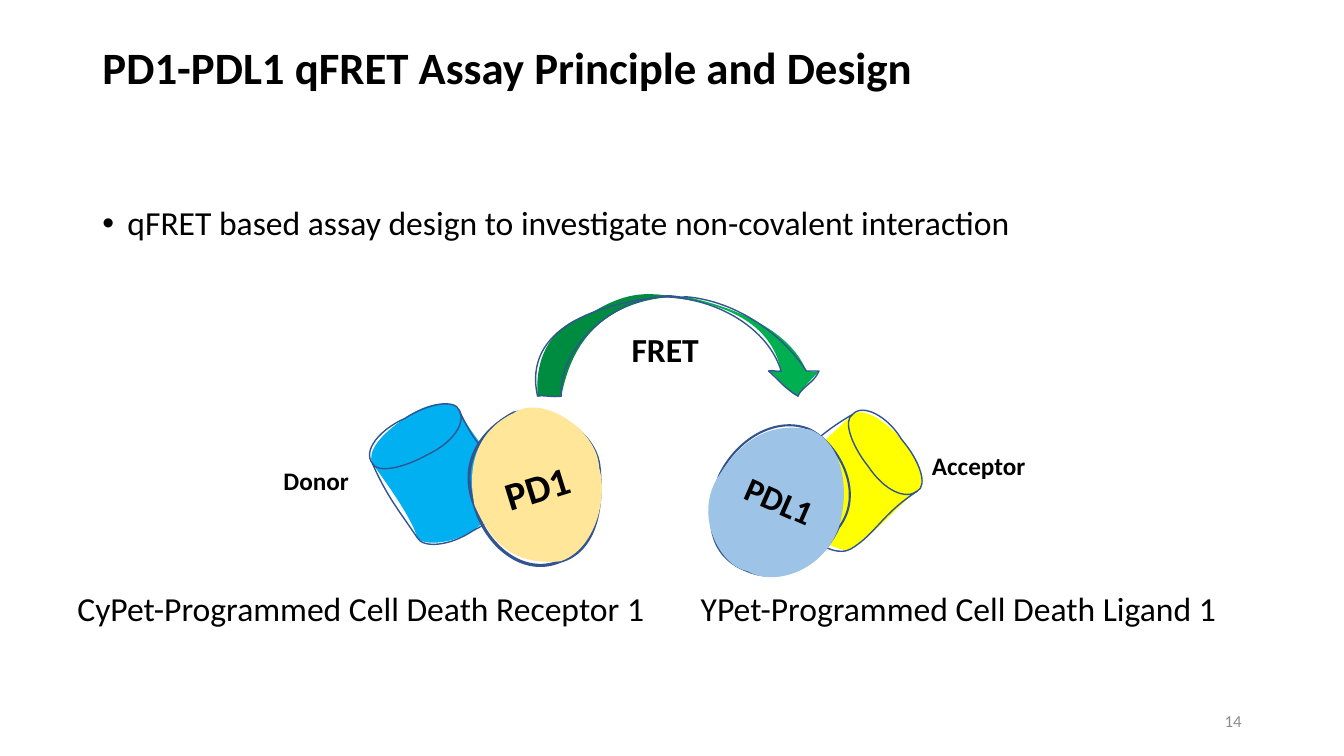
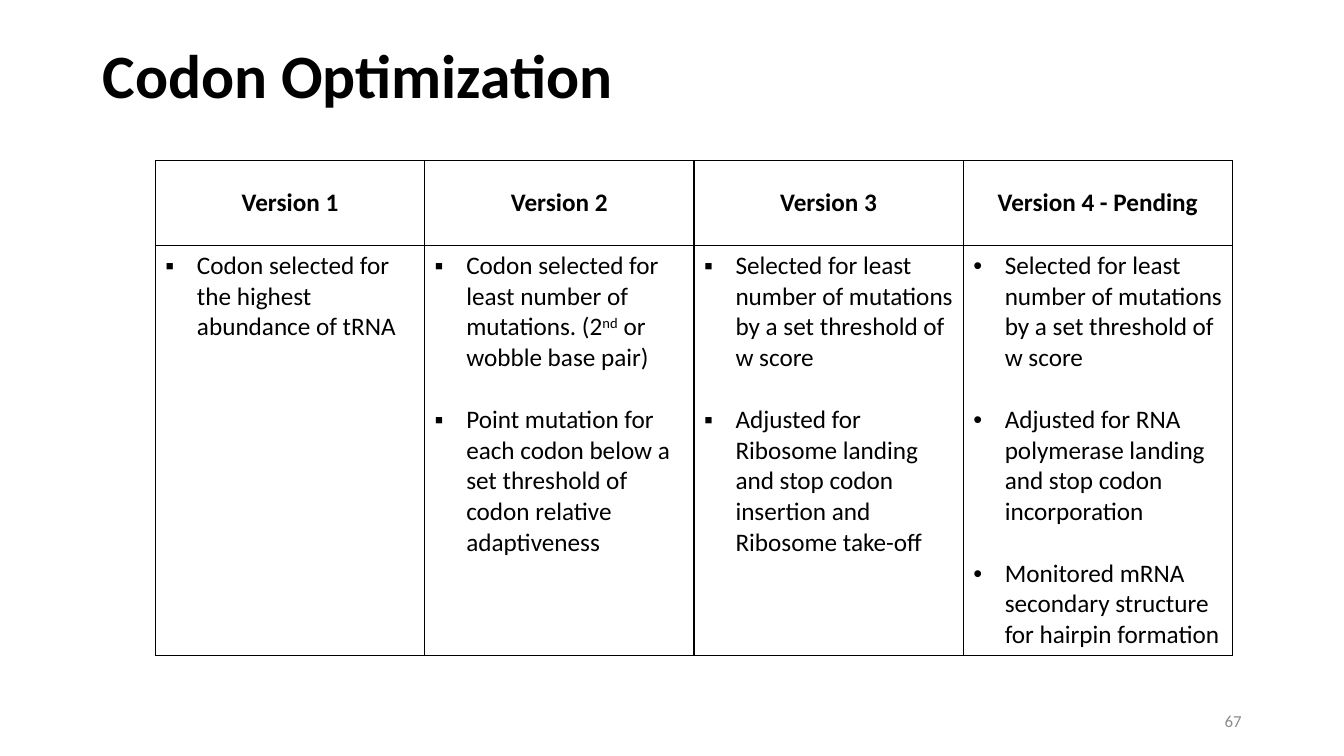
import math
from dataclasses import dataclass

import lxml.etree
import pptx
import pptx.dml.color
import pptx.enum.text
import pptx.oxml.ns
import pptx.util

Pt = pptx.util.Pt
ALIGN = pptx.enum.text.PP_ALIGN
ANCHOR = pptx.enum.text.MSO_ANCHOR

# Shared colours and text styles
BLACK, GREY, EDGE = "000000", "8C8C8C", "325491"
BASE = {"name": "Calibri", "bold": False, "size": Pt(24)}
TABLE_TEXT = BASE | {"size": Pt(18)}
TABLE_HEAD = TABLE_TEXT | {"bold": True}
PAGE_NUMBER = BASE | {"size": Pt(12)}


@dataclass
class Curve:
    """Cubic curves as 'x,y' points on the slide: a start, then two handles and an end each."""
    points: str
    fill: str = "none"
    closed: bool = True


@dataclass
class Figure:
    """Hand-drawn outline; filled curves carry no edge, the others only an edge."""
    left: float
    top: float
    width: float
    height: float
    angle: float
    fill: str
    edge_width: float
    curves: list[Curve]
    label: str = ""
    label_size: float = 24


@dataclass
class Label:
    text: str
    left: float
    top: float
    width: float
    height: float
    size: float = 24
    bold: bool = False


@dataclass
class Version:
    heading: str
    bullet: str
    points: list[str]


ACCEPTOR = Figure(571.7, 296.6, 72.7, 93.6, 50.3, "FFFF00", 1, [
    Curve("609,296 616,291 631,299 644,314 657,328 662,345 655,351 640,362 631,376 608,392 "
          "604,396 584,387 572,374 559,359 555,340 561,336 576,329 600,304 609,296", "norm"),
    Curve("655,351 647,357 632,351 620,333 608,318 602,300 609,296", closed=False),
    Curve("609,296 616,288 634,297 644,314 657,329 663,347 655,351 629,368 626,381 608,392 "
          "600,397 583,392 572,374 559,360 554,341 561,336 577,320 585,310 609,296")])

DONOR = Figure(276.5, 291.6, 72.7, 93.6, 328.7, "00B0F0", 1, [
    Curve("266,331 262,323 272,310 289,299 305,287 323,285 328,293 336,310 348,320 361,346 "
          "364,351 352,369 338,379 322,389 302,390 298,384 294,369 273,341 266,331", "norm"),
    Curve("328,293 333,302 324,316 305,325 287,335 269,338 266,331", closed=False),
    Curve("266,331 259,322 271,307 289,299 306,288 325,285 328,293 340,321 353,326 361,346 "
          "365,355 357,370 338,379 322,390 302,392 298,384 286,366 277,356 266,331")])

RECEPTOR = Figure(337, 293, 92.9, 110.2, 342.8, "FFE699", 2.25, [
    Curve("339,361 328,333 341,309 367,295 394,289 426,309 428,334 431,364 425,394 400,401 "
          "374,412 347,390 339,361"),
    Curve("339,361 332,326 346,305 367,295 387,281 427,307 428,334 435,359 423,394 400,401 "
          "373,403 354,395 339,361", "norm")], "PD1", 28)

LIGAND = Figure(510.5, 302.4, 92.9, 110.2, 23.8, "9DC3E6", 1.5, [
    Curve("514,339 528,311 557,297 579,307 600,318 618,353 599,377 588,403 557,418 534,408 "
          "507,398 502,372 514,339"),
    Curve("514,339 533,309 555,302 579,307 601,316 608,348 599,377 589,406 555,420 534,408 "
          "515,405 494,368 514,339", "norm")], "PDL1")

FRET_ARROW = Figure(383.8, 211.7, 203.8, 71.3, 0, "00B050", 1, [
    Curve("570,283 564,282 556,269 549,265 551,265 556,265 558,265 551,231 518,215 472,212 "
          "477,210 485,214 490,212 523,219 564,235 576,265 578,265 582,266 585,265 "
          "580,271 574,276 570,283", "norm"),
    Curve("481,212 435,215 409,240 401,283 395,284 388,282 384,283 382,256 393,233 420,225 "
          "441,212 456,207 481,212", "darkenLess"),
    Curve("481,212 438,210 398,250 401,283 395,284 388,282 384,283 373,234 428,217 472,212 "
          "480,210 484,213 490,212 527,215 560,240 576,265 580,265 582,265 585,265 "
          "582,273 572,277 570,283 559,276 559,274 549,265 553,264 554,266 558,265 "
          "549,235 512,212 472,212", closed=False)])

ASSAY_LABELS = [
    Label("CyPet-Programmed Cell Death Receptor 1", 48.2, 416.5, 443, 36),
    Label("YPet-Programmed Cell Death Ligand 1", 493.4, 416.7, 403, 36),
    Label("FRET", 444, 231.5, 110, 36, bold=True),
    Label("Donor", 195.4, 329, 99, 29, 18, True),
    Label("Acceptor", 658.6, 318, 99, 29, 18, True),
]

LEAST_MUTATIONS = "Selected for least number of mutations by a set threshold of w score"
VERSIONS = [
    Version("Version 1", "▪", ["Codon selected for the highest abundance of tRNA"]),
    Version("Version 2", "▪", [
        "Codon selected for least number of mutations. (2^nd^ or wobble base pair)",
        "Point mutation for each codon below a set threshold of codon relative adaptiveness"]),
    Version("Version 3", "▪", [
        LEAST_MUTATIONS,
        "Adjusted for Ribosome landing and stop codon insertion and Ribosome take-off"]),
    Version("Version 4 - Pending", "•", [
        LEAST_MUTATIONS,
        "Adjusted for RNA polymerase landing and stop codon incorporation",
        "Monitored mRNA secondary structure for hairpin formation"]),
]


def rgb(value: str) -> pptx.dml.color.RGBColor:
    return pptx.dml.color.RGBColor.from_string(value)


def sub(parent, tag: str, **attributes: str):
    return lxml.etree.SubElement(parent, pptx.oxml.ns.qn(tag), attributes)


def write(paragraph, text: str, style: dict, color: str = BLACK) -> None:
    """Add runs; parts between carets are raised."""
    for order, part in enumerate(text.split("^")):
        run = paragraph.add_run()
        run.text = part
        for key, value in style.items():
            setattr(run.font, key, value)
        run.font.color.rgb = rgb(color)
        if order % 2:
            run.font._element.set("baseline", "30000")


def add_bullet(paragraph, symbol: str, indent: float) -> None:
    properties = paragraph._p.get_or_add_pPr()
    properties.set("marL", str(Pt(indent)))
    properties.set("indent", str(-Pt(indent)))
    sub(properties, "a:buFont", typeface="Arial")
    sub(properties, "a:buChar", char=symbol)


def add_frame(slide, left: float, top: float, width: float, height: float):
    frame = slide.shapes.add_textbox(Pt(left), Pt(top), Pt(width), Pt(height)).text_frame
    frame.word_wrap = True
    return frame


def start_slide(deck, title: str, title_size: float, number: str):
    """Title-only slide with the shared title and page number."""
    slide = deck.slides.add_slide(deck.slide_layouts[5])
    heading = slide.shapes.title
    place = {"left": Pt(66), "top": Pt(29), "width": Pt(828), "height": Pt(104)}
    for key, value in place.items():
        setattr(heading, key, value)
    heading.text_frame.vertical_anchor = ANCHOR.TOP
    paragraph = heading.text_frame.paragraphs[0]
    paragraph.alignment = ALIGN.LEFT
    paragraph.line_spacing = 0.9
    write(paragraph, title, BASE | {"size": Pt(title_size), "bold": True})

    footer = add_frame(slide, 678, 500.5, 216, 29)
    footer.vertical_anchor = ANCHOR.MIDDLE
    footer.paragraphs[0].alignment = ALIGN.RIGHT
    write(footer.paragraphs[0], number, PAGE_NUMBER, GREY)
    return slide


def unturned(figure: Figure, knot: str) -> dict[str, str]:
    """Place of a slide point inside the figure's box before rotation."""
    x, y = map(float, knot.split(","))
    x -= figure.left + figure.width / 2
    y -= figure.top + figure.height / 2
    cos, sin = math.cos(math.radians(figure.angle)), math.sin(math.radians(figure.angle))
    return {"x": str(Pt(x * cos + y * sin + figure.width / 2)),
            "y": str(Pt(y * cos - x * sin + figure.height / 2))}


def bend(shape, figure: Figure) -> None:
    """Put the figure's cubic curves in place of the straight frame."""
    curve_list = shape._element.spPr.find(".//" + pptx.oxml.ns.qn("a:pathLst"))
    for straight in list(curve_list):
        curve_list.remove(straight)
    for curve in figure.curves:
        stroke = "1" if curve.fill == "none" else "0"
        drawn = sub(curve_list, "a:path", w=str(shape.width), h=str(shape.height),
                    fill=curve.fill, stroke=stroke)
        start, *knots = [unturned(figure, knot) for knot in curve.points.split()]
        sub(sub(drawn, "a:moveTo"), "a:pt", **start)
        for first in range(0, len(knots), 3):
            segment = sub(drawn, "a:cubicBezTo")
            for knot in knots[first:first + 3]:
                sub(segment, "a:pt", **knot)
        if curve.closed:
            sub(drawn, "a:close")


def draw_figure(slide, figure: Figure) -> None:
    left, top = Pt(figure.left), Pt(figure.top)
    right, bottom = left + Pt(figure.width), top + Pt(figure.height)
    builder = slide.shapes.build_freeform(left, top)
    builder.add_line_segments([(right, top), (right, bottom), (left, bottom)])
    shape = builder.convert_to_shape()
    bend(shape, figure)
    shape.rotation = figure.angle
    shape.shadow.inherit = False
    shape.fill.solid()
    shape.fill.fore_color.rgb = rgb(figure.fill)
    shape.line.color.rgb = rgb(EDGE)
    shape.line.width = Pt(figure.edge_width)
    if figure.label:
        shape.text_frame.vertical_anchor = ANCHOR.MIDDLE
        paragraph = shape.text_frame.paragraphs[0]
        paragraph.alignment = ALIGN.CENTER
        write(paragraph, figure.label, BASE | {"size": Pt(figure.label_size), "bold": True})


def format_cell(cell) -> None:
    """Thin black borders and no fill."""
    properties = cell._tc.get_or_add_tcPr()
    for side in ("a:lnL", "a:lnR", "a:lnT", "a:lnB"):
        border = sub(properties, side, w=str(Pt(1)))
        sub(sub(border, "a:solidFill"), "a:srgbClr", val=BLACK)
    cell.fill.background()


def build_assay(deck) -> None:
    slide = start_slide(deck, "PD1-PDL1 qFRET Assay Principle and Design", 32, "14")
    summary = add_frame(slide, 66, 144, 828, 343).paragraphs[0]
    add_bullet(summary, "•", 18)
    summary.line_spacing = 0.9
    write(summary, "qFRET based assay design to investigate non-covalent interaction", BASE)
    for figure in (ACCEPTOR, DONOR, RECEPTOR, LIGAND, FRET_ARROW):
        draw_figure(slide, figure)
    for label in ASSAY_LABELS:
        frame = add_frame(slide, label.left, label.top, label.width, label.height)
        write(frame.paragraphs[0], label.text,
              BASE | {"size": Pt(label.size), "bold": label.bold})


def build_codons(deck) -> None:
    slide = start_slide(deck, "Codon Optimization", 44, "67")
    versions = slide.shapes.add_table(
        2, len(VERSIONS), Pt(111), Pt(114.8), Pt(769.4), Pt(353.3)).table
    versions.first_row = versions.horz_banding = False
    versions.rows[0].height, versions.rows[1].height = Pt(60.5), Pt(292.8)
    for column, version in enumerate(VERSIONS):
        head, body = versions.cell(0, column), versions.cell(1, column)
        format_cell(head)
        format_cell(body)
        head.vertical_anchor = ANCHOR.MIDDLE
        head_line = head.text_frame.paragraphs[0]
        head_line.alignment = ALIGN.CENTER
        write(head_line, version.heading, TABLE_HEAD)
        for order, point in enumerate(version.points):
            frame = body.text_frame
            paragraph = frame.add_paragraph() if order else frame.paragraphs[0]
            add_bullet(paragraph, version.bullet, 22.5)
            if order:
                paragraph.space_before = Pt(22)
            write(paragraph, point, TABLE_TEXT)


def main() -> None:
    deck = pptx.Presentation()
    deck.slide_width, deck.slide_height = Pt(960), Pt(540)
    build_assay(deck)
    build_codons(deck)
    deck.save("out.pptx")


if __name__ == "__main__":
    main()
